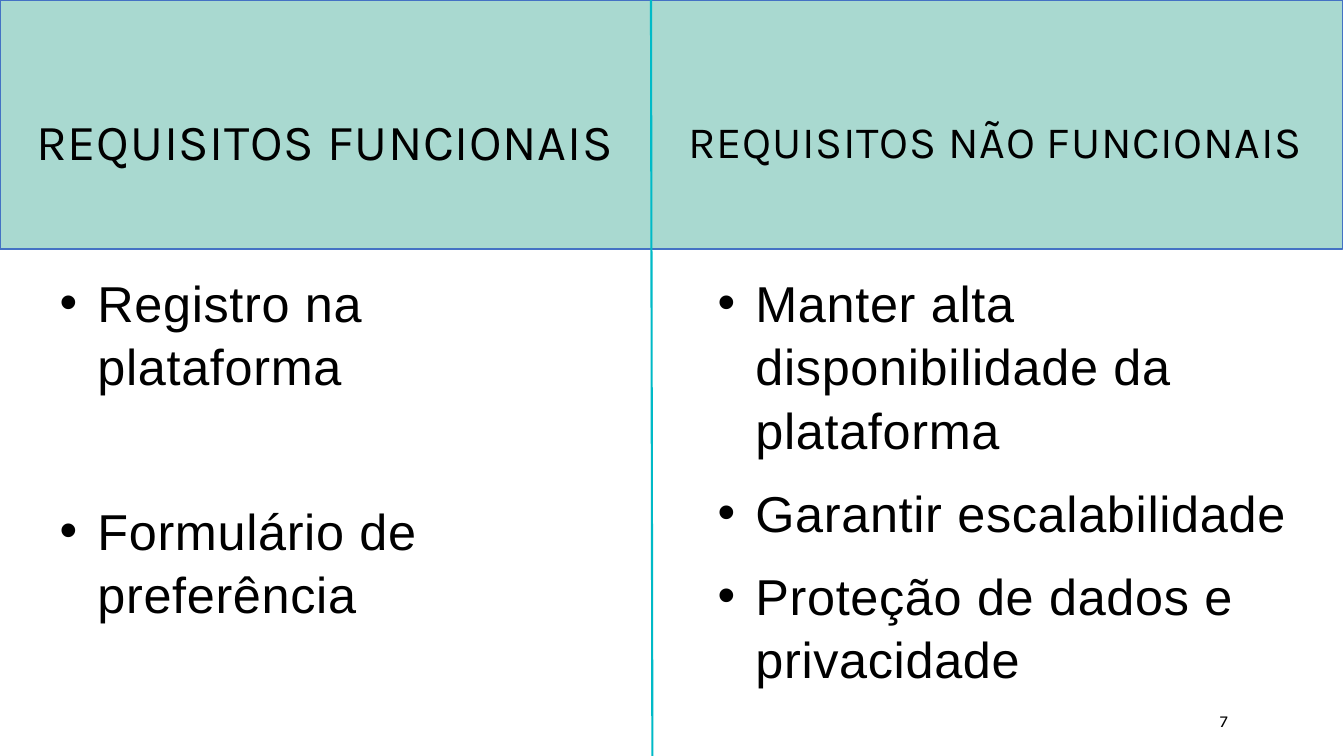
from dataclasses import dataclass

import pptx
import pptx.dml.color
import pptx.enum.shapes
import pptx.enum.text
import pptx.oxml
import pptx.oxml.ns
import pptx.util
from pptx.util import Pt

ANCHOR = pptx.enum.text.MSO_ANCHOR
ALIGN = pptx.enum.text.PP_ALIGN


@dataclass(frozen=True)
class Theme:
    ink: str = "000000"
    band: str = "A9D9D0"
    band_line: str = "4472C4"
    divider: str = "00BAC7"
    heading_font: str = "Karla"
    body_font: str = "Arial"
    body_size: int = 36
    number_size: int = 12
    tracking: int = 50  # hundredths of a point
    line_spacing: float = 1.05
    paragraph_gap: int = 7
    bullet_indent: int = 27


THEME = Theme()

# Heading, its size, its left and width, then bullets, their left and width,
# and the space before each bullet after the first
COLUMNS = [
    ("REQUISITOS FUNCIONAIS", 36, 19, 432,
     ["Registro na plataforma", "Formulário de preferência"], 35.5, 402, 65),
    ("REQUISITOS NÃO FUNCIONAIS", 32, 484.5, 458,
     ["Manter alta disponibilidade da plataforma", "Garantir escalabilidade",
      "Proteção de dados e privacidade"], 505.5, 453.5, THEME.paragraph_gap),
]


def rgb(value):
    return pptx.dml.color.RGBColor.from_string(value)


def add_text_frame(slide, left, top, width, height, anchor=ANCHOR.TOP):
    frame = slide.shapes.add_textbox(Pt(left), Pt(top), Pt(width), Pt(height)).text_frame
    frame.word_wrap = True
    frame.vertical_anchor = anchor
    return frame


def add_run(paragraph, text, font, size, tracking=0):
    run = paragraph.add_run()
    run.text = text
    run.font.name = font
    run.font.size = Pt(size)
    run.font.color.rgb = rgb(THEME.ink)
    if tracking:
        run.font._element.set("spc", str(tracking))


def space_paragraph(paragraph, before=THEME.paragraph_gap):
    paragraph.line_spacing = THEME.line_spacing
    paragraph.space_before = Pt(before)
    paragraph.space_after = Pt(THEME.paragraph_gap)


def set_bullet(paragraph):
    properties = paragraph._p.get_or_add_pPr()
    properties.set("marL", str(Pt(THEME.bullet_indent)))
    properties.set("indent", str(-Pt(THEME.bullet_indent)))
    namespace = pptx.oxml.ns.nsdecls("a")
    properties.append(pptx.oxml.parse_xml(f'<a:buFont {namespace} typeface="Arial"/>'))
    properties.append(pptx.oxml.parse_xml(f'<a:buChar {namespace} char="•"/>'))


def add_band(slide):
    band = slide.shapes.add_shape(
        pptx.enum.shapes.MSO_SHAPE.RECTANGLE, 0, 0, Pt(959), Pt(178))
    band.shadow.inherit = False
    band.fill.solid()
    band.fill.fore_color.rgb = rgb(THEME.band)
    band.line.color.rgb = rgb(THEME.band_line)
    band.line.width = Pt(1)


def add_heading(slide, text, size, left, width):
    frame = add_text_frame(slide, left, 64, width, 70.5, ANCHOR.MIDDLE)
    paragraph = frame.paragraphs[0]
    space_paragraph(paragraph)
    add_run(paragraph, text, THEME.heading_font, size, THEME.tracking)


def add_bullets(slide, items, left, width, gap):
    frame = add_text_frame(slide, left, 188.5, width, 300)
    for index, item in enumerate(items):
        paragraph = frame.add_paragraph() if index else frame.paragraphs[0]
        space_paragraph(paragraph, gap if index else THEME.paragraph_gap)
        set_bullet(paragraph)
        add_run(paragraph, item, THEME.body_font, THEME.body_size, THEME.tracking)


def add_divider(slide):
    divider = slide.shapes.add_connector(
        pptx.enum.shapes.MSO_CONNECTOR.STRAIGHT, Pt(465), 0, Pt(466), Pt(540))
    divider.line.color.rgb = rgb(THEME.divider)
    divider.line.width = Pt(1.5)
    divider._element.spPr.append(pptx.oxml.parse_xml(
        f'<a:effectLst {pptx.oxml.ns.nsdecls("a")}/>'))


def add_page_number(slide, number):
    frame = add_text_frame(slide, 811, 500.5, 73, 29, ANCHOR.MIDDLE)
    paragraph = frame.paragraphs[0]
    paragraph.alignment = ALIGN.RIGHT
    add_run(paragraph, number, THEME.heading_font, THEME.number_size)


def main():
    deck = pptx.Presentation()
    deck.slide_width, deck.slide_height = Pt(960), Pt(540)
    slide = deck.slides.add_slide(deck.slide_layouts[6])

    # Header band
    add_band(slide)

    # Two columns of requirements
    for heading, size, left, width, items, list_left, list_width, gap in COLUMNS:
        add_heading(slide, heading, size, left, width)
        add_bullets(slide, items, list_left, list_width, gap)

    # Divider and page number
    add_divider(slide)
    add_page_number(slide, "7")

    deck.save("out.pptx")


if __name__ == "__main__":
    main()
